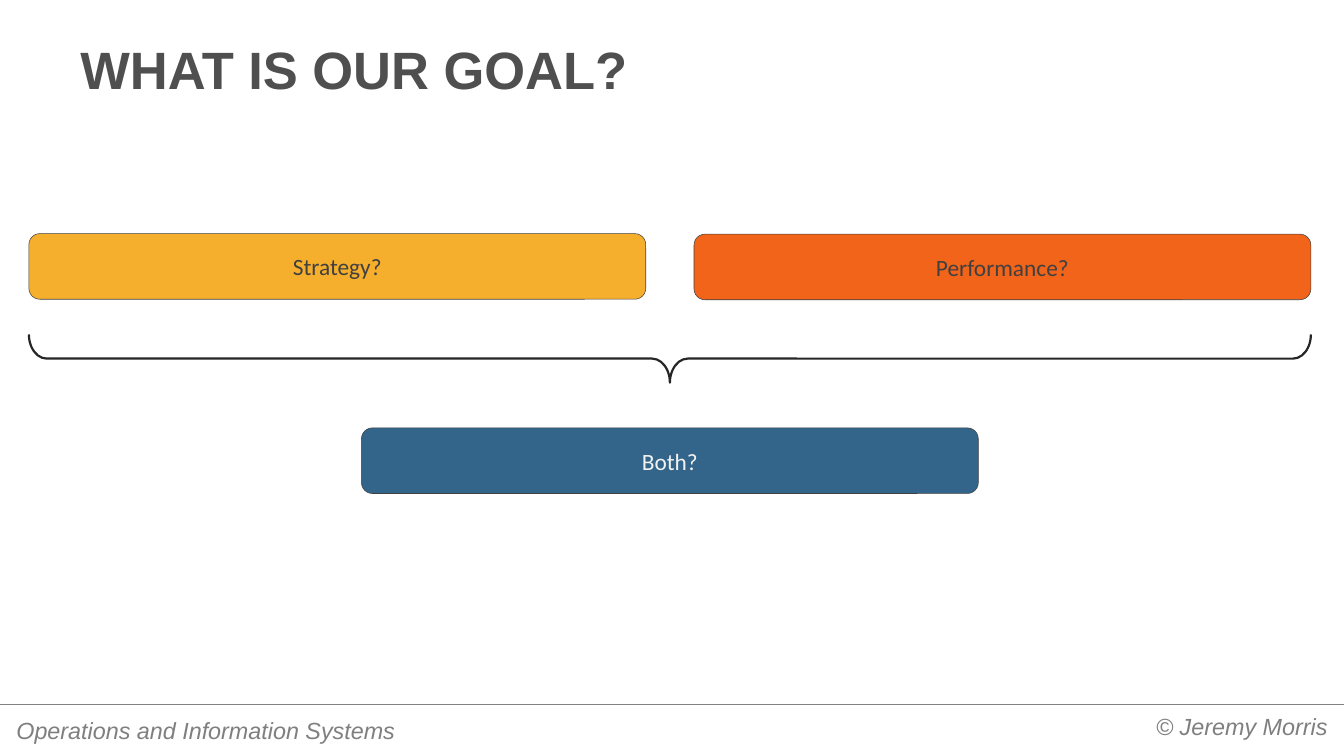
from lxml import etree
from pptx import Presentation
from pptx.dml.color import RGBColor
from pptx.enum.shapes import MSO_CONNECTOR, MSO_SHAPE
from pptx.enum.text import MSO_ANCHOR, MSO_AUTO_SIZE, PP_ALIGN
from pptx.oxml.ns import qn
from pptx.util import Pt

LEFT, MID, RIGHT = PP_ALIGN.LEFT, PP_ALIGN.CENTER, PP_ALIGN.RIGHT
ROUND, BRACE = MSO_SHAPE.ROUNDED_RECTANGLE, MSO_SHAPE.RIGHT_BRACE

# Content
WIDE, HIGH = 1843.2, 1036.8
TITLE = "WHAT IS OUR GOAL?"
COLORS = {
    "title": "4F4F4F", "foot": "7F7F7F", "rule": "808080",
    "dark": "404040", "light": "F2F2F2", "brace": "262626",
    "gold": "F6AE2D", "orange": "F26419", "blue": "33658A",
}
FOOT = [  # text, left, top, width, height, alignment
    ("© Jeremy Morris", 1049.8, 970.6, 784.1, 90.7, RIGHT),
    ("Operations and Information Systems", 9.4, 976.3, 630, 51.8, LEFT),
]
BOX_W, BOX_H, EDGE, GAP = 846, 90, 39.6, 66.2
SPAN = 2 * BOX_W + GAP
BOXES = [  # text, left, top, fill, text colour
    ("Strategy?", EDGE, 320.4, "gold", "dark"),
    ("Performance?", EDGE + BOX_W + GAP, 321.1, "orange", "dark"),
    ("Both?", EDGE + (SPAN - BOX_W) / 2, 586.8, "blue", "light"),
]
BRACE_Y, BRACE_H = 458.7, 66.2


def color(name):
    return RGBColor.from_string(COLORS[name])


def write(shape, text, size, face, tint, align, anchor, pad=None):
    frame = shape.text_frame
    frame.text = text
    frame.word_wrap = True
    frame.auto_size = MSO_AUTO_SIZE.NONE
    frame.vertical_anchor = anchor
    if pad:
        frame.margin_left = frame.margin_right = Pt(pad)
        frame.margin_top = frame.margin_bottom = Pt(pad / 2)
    para = frame.paragraphs[0]
    para.alignment = align
    font = para.font
    font.size, font.name = Pt(size), face
    font.color.rgb = color(tint)
    return font


def draw(kind, x, y, w, h, tint, weight):
    shape = slide.shapes.add_shape(kind, Pt(x), Pt(y), Pt(w), Pt(h))
    shape.shadow.inherit = False
    shape.line.color.rgb = color(tint)
    shape.line.width = Pt(weight)
    return shape


deck = Presentation()
deck.slide_width, deck.slide_height = Pt(WIDE), Pt(HIGH)
slide = deck.slides.add_slide(deck.slide_layouts[5])

# Title
title = slide.shapes.title
title.left, title.top = Pt(92.2), Pt(38.2)
title.width, title.height = Pt(1658.9), Pt(107.3)
font = write(title, TITLE, 72, "Arial", "title", LEFT, MSO_ANCHOR.BOTTOM, 18)
font.bold = True

# Footer rule and texts
rule = slide.shapes.add_connector(
    MSO_CONNECTOR.STRAIGHT, 0, Pt(965.5), Pt(WIDE), Pt(965.5))
rule.line.color.rgb = color("rule")
rule.line.width = Pt(0.75)
etree.SubElement(rule._element.spPr, qn("a:effectLst"))
for text, x, y, w, h, align in FOOT:
    box = slide.shapes.add_textbox(Pt(x), Pt(y), Pt(w), Pt(h))
    font = write(box, text, 32, "Arial", "foot", align, MSO_ANCHOR.TOP, 13)
    font.italic = True

# Goal boxes
for text, x, y, fill, tint in BOXES:
    box = draw(ROUND, x, y, BOX_W, BOX_H, "dark", 0.75)
    box.fill.solid()
    box.fill.fore_color.rgb = color(fill)
    write(box, text, 32, "Calibri", tint, MID, MSO_ANCHOR.MIDDLE)

# Brace under the upper boxes, turned to point down
brace = draw(BRACE, EDGE + (SPAN - BRACE_H) / 2,
             BRACE_Y + (BRACE_H - SPAN) / 2, BRACE_H, SPAN, "brace", 3)
brace.fill.background()
brace.rotation = 90
brace.adjustments[0] = 0.37

deck.save("out.pptx")
